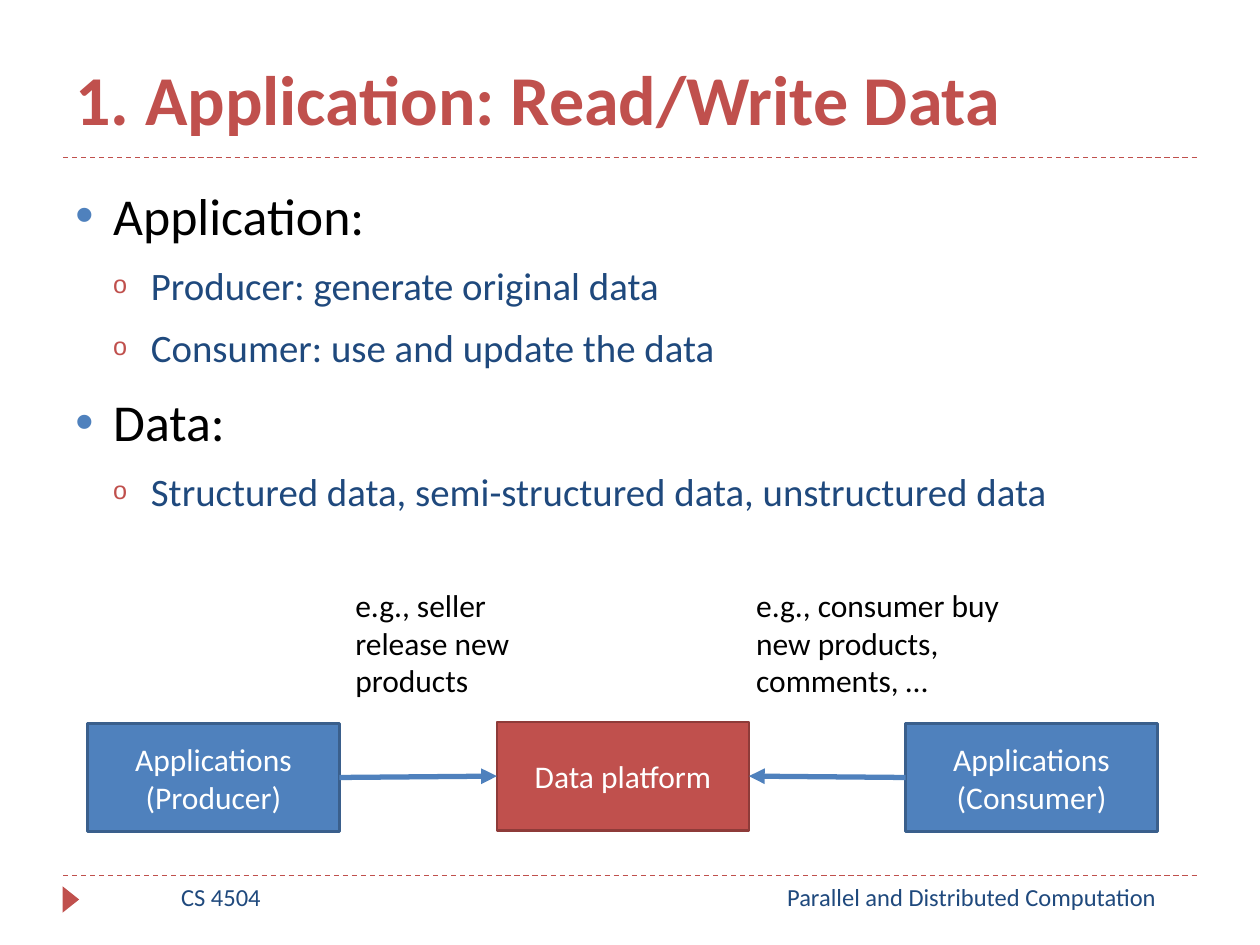
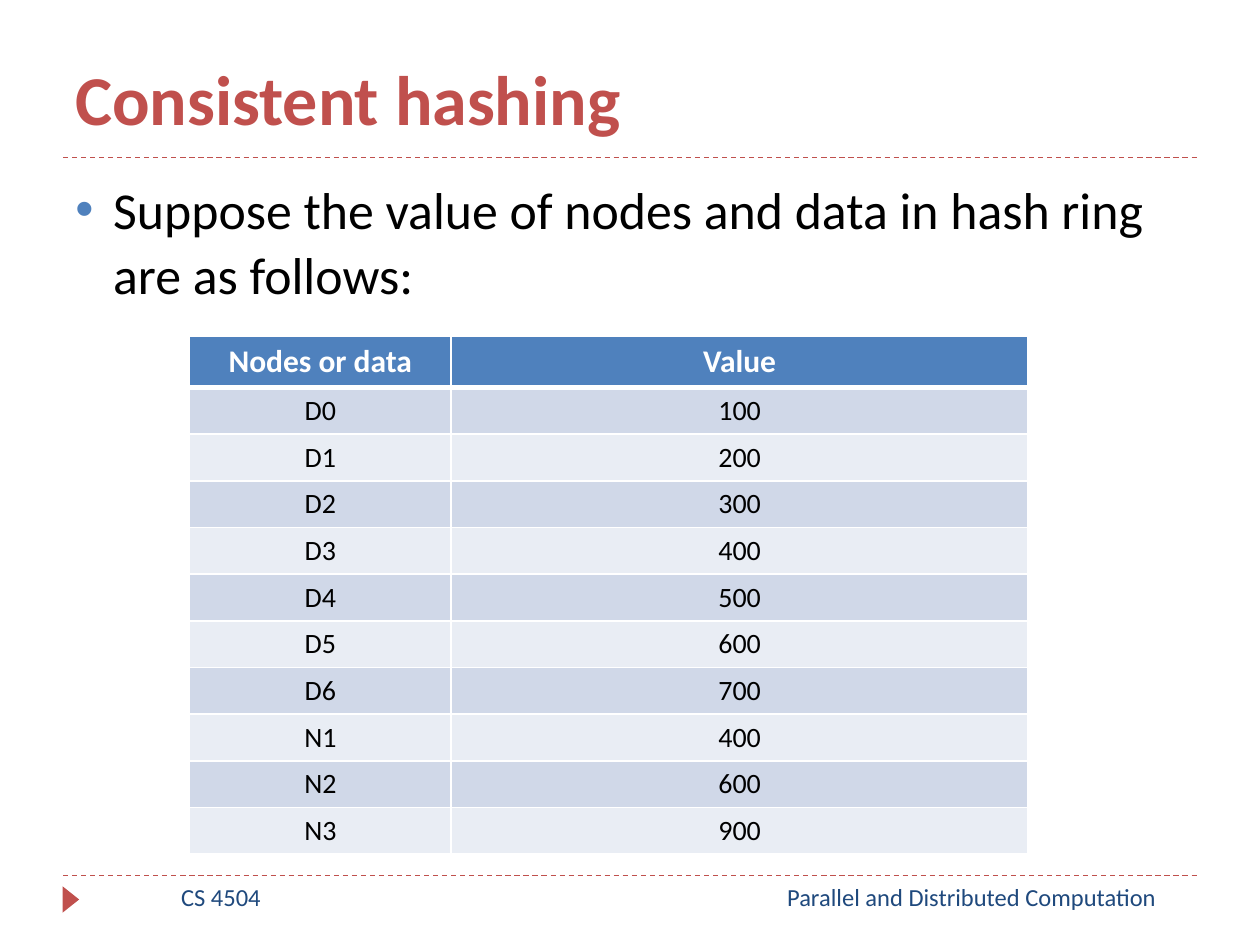
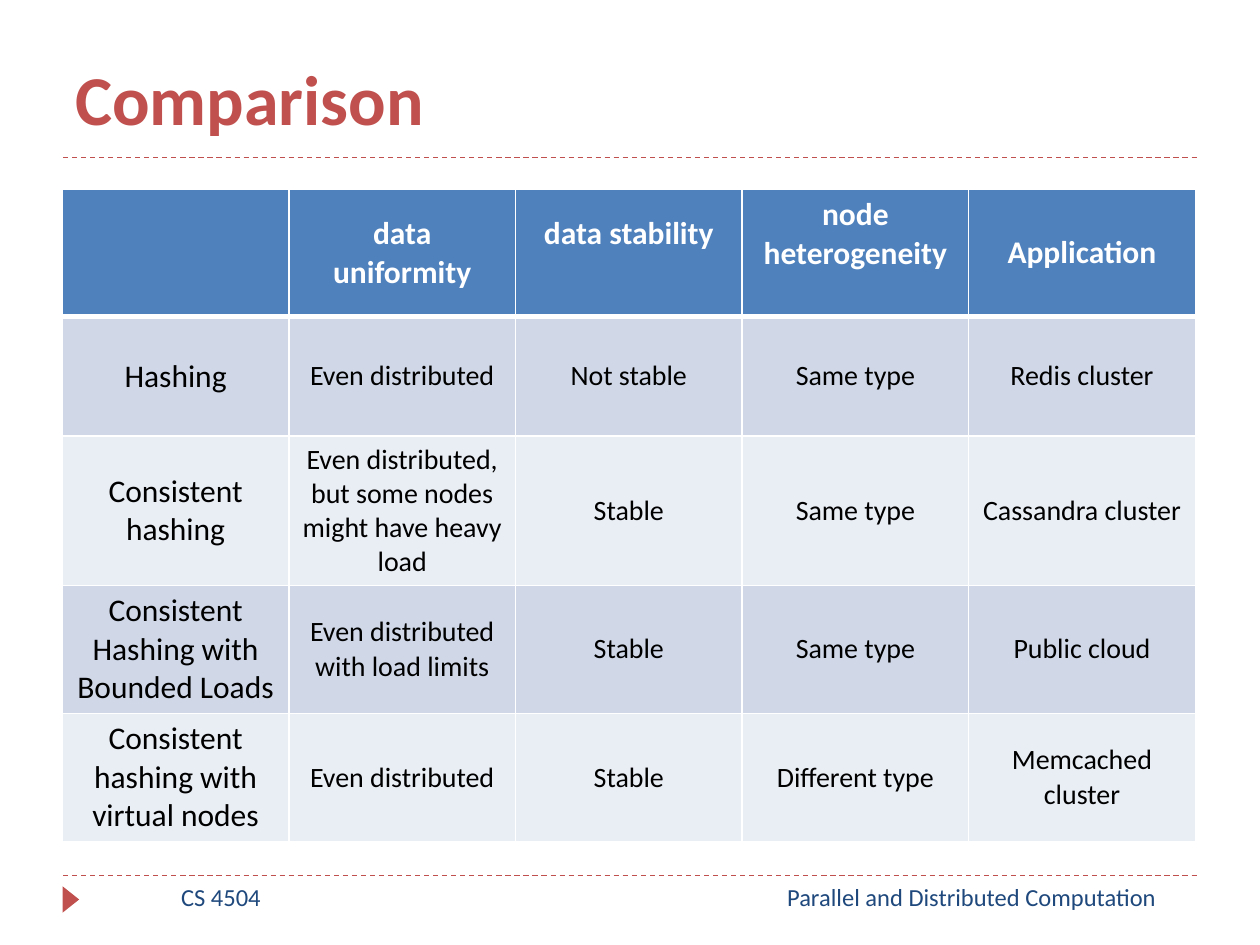
from dataclasses import dataclass

from lxml.etree import SubElement as sub_element
from pptx import Presentation
from pptx.dml.color import RGBColor as Rgb
from pptx.enum.dml import MSO_LINE_DASH_STYLE as Dash
from pptx.enum.shapes import MSO_CONNECTOR as Connector, MSO_SHAPE as Shape
from pptx.enum.text import MSO_ANCHOR as Anchor, PP_ALIGN as Align
from pptx.oxml.ns import qn
from pptx.util import Pt


@dataclass(frozen=True)
class Theme:
    font: str = "Calibri"
    bullet_font: str = "Arial"
    red: str = "C0504D"
    red_edge: str = "8E3B39"
    blue: str = "4F81BD"
    blue_edge: str = "3A5F8C"
    navy: str = "1F497D"
    black: str = "000000"
    white: str = "FFFFFF"
    bands: tuple = ("D0D8E8", "E9EDF4")
    title_size: float = 40
    body_size: float = 29.6
    sub_size: float = 22.2
    label_size: float = 18
    cell_size: float = 16
    footer_size: float = 14


THEME = Theme()
SIDES = ("L", "R", "T", "B")
TOP, LEFT, BOTTOM, RIGHT = range(4)


def style_font(para, size, color, bold=False):
    font = para.font
    font.name = THEME.font
    font.size = Pt(size)
    font.bold = bold
    font.color.rgb = Rgb.from_string(color)


def add_text(page, text, left, top, width, height, size, color,
             align=Align.LEFT, anchor=Anchor.TOP, bold=False):
    box = page.shapes.add_textbox(Pt(left), Pt(top), Pt(width), Pt(height))
    frame = box.text_frame
    frame.word_wrap = True
    frame.vertical_anchor = anchor
    para = frame.paragraphs[0]
    para.text = text
    para.alignment = align
    style_font(para, size, color, bold)


def add_line(page, start, end, color, width):
    line = page.shapes.add_connector(Connector.STRAIGHT, *map(Pt, start + end))
    line.line.color.rgb = Rgb.from_string(color)
    line.line.width = Pt(width)
    sub_element(line._element.spPr, qn("a:effectLst"))
    return line


def add_filled(page, kind, left, top, width, height, fill):
    shape = page.shapes.add_shape(kind, Pt(left), Pt(top), Pt(width), Pt(height))
    shape.shadow.inherit = False
    shape.fill.solid()
    shape.fill.fore_color.rgb = Rgb.from_string(fill)
    return shape


def add_box(page, text, left, top, fill, edge):
    box = add_filled(page, Shape.RECTANGLE, left, top, 144, 62, fill)
    box.line.color.rgb = Rgb.from_string(edge)
    box.line.width = Pt(1.5)
    box.text_frame.word_wrap = True
    box.text_frame.vertical_anchor = Anchor.MIDDLE
    para = box.text_frame.paragraphs[0]
    para.text = text
    para.alignment = Align.CENTER
    style_font(para, THEME.label_size, THEME.white)
    return box


def add_arrow(page, source, source_side, target, target_side):
    arrow = add_line(page, (0, 0), (0, 0), THEME.blue, 3)
    arrow.begin_connect(source, source_side)
    arrow.end_connect(target, target_side)
    sub_element(arrow.line._get_or_add_ln(), qn("a:tailEnd"), type="triangle")


def add_bullet(para, level):
    properties = para._p.get_or_add_pPr()
    properties.set("marL", str(Pt(21.6 * (level + 1))))
    properties.set("indent", str(-Pt(21.6)))
    color = sub_element(properties, qn("a:buClr"))
    sub_element(color, qn("a:srgbClr"), val=(THEME.blue, THEME.red)[level])
    if level:
        sub_element(properties, qn("a:buSzPct"), val="65000")
    sub_element(properties, qn("a:buFont"), typeface=THEME.bullet_font)
    sub_element(properties, qn("a:buChar"), char="•o"[level])


def add_bullets(page, items, height, line_spacing):
    box = page.shapes.add_textbox(Pt(36), Pt(96), Pt(648), Pt(height))
    frame = box.text_frame
    frame.word_wrap = True
    for index, (level, text) in enumerate(items):
        para = frame.add_paragraph() if index else frame.paragraphs[0]
        para.text = text
        para.level = level
        add_bullet(para, level)
        para.line_spacing = line_spacing
        para.space_before = Pt((6, 5)[level] if index else 0)
        if level:
            style_font(para, THEME.sub_size, THEME.navy)
        else:
            style_font(para, THEME.body_size, THEME.black)


def set_borders(cell, row):
    properties = cell._tc.get_or_add_tcPr()
    heavy = {0: "B", 1: "T"}.get(row)
    for place, side in enumerate(SIDES):
        width = 3 if side == heavy else 1
        line = properties.makeelement(qn(f"a:ln{side}"), {"w": str(Pt(width))})
        fill = sub_element(line, qn("a:solidFill"))
        sub_element(fill, qn("a:srgbClr"), val=THEME.white)
        properties.insert(place, line)


def add_grid(page, rows, left, top, widths, heights, anchor=Anchor.TOP,
             first_column_size=THEME.cell_size):
    frame = page.shapes.add_table(len(rows), len(widths), Pt(left), Pt(top),
                                  Pt(sum(widths)), Pt(sum(heights)))
    grid = frame.table
    for column, width in zip(grid.columns, widths):
        column.width = Pt(width)
    for row_index, (values, height) in enumerate(zip(rows, heights)):
        grid.rows[row_index].height = Pt(height)
        header = row_index == 0
        fill = THEME.blue if header else THEME.bands[(row_index - 1) % 2]
        for column_index, value in enumerate(values):
            cell = grid.cell(row_index, column_index)
            cell.fill.solid()
            cell.fill.fore_color.rgb = Rgb.from_string(fill)
            cell.vertical_anchor = anchor
            set_borders(cell, row_index)
            para = cell.text_frame.paragraphs[0]
            para.text = value
            para.alignment = Align.CENTER
            if header:
                style_font(para, THEME.label_size, THEME.white, bold=True)
            else:
                size = THEME.cell_size if column_index else first_column_size
                style_font(para, size, THEME.black)
    return grid


def add_page(deck, title):
    page = deck.slides.add_slide(deck.slide_layouts[6])
    for y in (500.4, 90):
        rule = add_line(page, (36, y), (684, y), THEME.red, 0.75)
        rule.line.dash_style = Dash.DASH
    marker = add_filled(page, Shape.ISOSCELES_TRIANGLE, 33, 509.3, 15, 9.4, THEME.red)
    marker.rotation = 90
    marker.line.fill.background()
    add_text(page, title, 36, 6, 648, 77.5, THEME.title_size, THEME.red,
             anchor=Anchor.BOTTOM, bold=True)
    for text, left, width in (("Parallel and Distributed Computation", 426, 258.5),
                              ("CS 4504", 48, 156.5)):
        add_text(page, text, left, 500.4, width, 28.8, THEME.footer_size,
                 THEME.navy, align=Align.CENTER)
    return page


def build_application(deck):
    page = add_page(deck, "1. Application: Read/Write Data")
    add_bullets(page, [
        (0, "Application:"),
        (1, "Producer: generate original data"),
        (1, "Consumer: use and update the data"),
        (0, "Data:"),
        (1, "Structured data, semi-structured data, unstructured data"),
    ], 211, 1.15)
    producer = add_box(page, "Applications (Producer)", 50, 413.3, THEME.blue, THEME.blue_edge)
    platform = add_box(page, "Data platform", 284, 412.5, THEME.red, THEME.red_edge)
    consumer = add_box(page, "Applications (Consumer)", 517.5, 413.3, THEME.blue, THEME.blue_edge)
    add_arrow(page, producer, RIGHT, platform, LEFT)
    add_arrow(page, consumer, LEFT, platform, RIGHT)
    for text, left, width in (
            ("e.g., seller release new products", 196, 108),
            ("e.g., consumer buy new products, comments, …", 425, 159)):
        add_text(page, text, left, 331.2, width, 72.7, THEME.label_size, THEME.black)


def build_hashing(deck):
    page = add_page(deck, "Consistent hashing")
    add_bullets(page, [
        (0, "Suppose the value of nodes and data in hash ring are as follows:"),
    ], 84, 1.05)
    values = {"D0": 100, "D1": 200, "D2": 300, "D3": 400, "D4": 500, "D5": 600,
              "D6": 700, "N1": 400, "N2": 600, "N3": 900}
    rows = [("Nodes or data", "Value")]
    rows += [(name, str(value)) for name, value in values.items()]
    add_grid(page, rows, 108.3, 192.4, [149.5, 329.7], [29] + [26.7] * len(values))


def build_comparison(deck):
    page = add_page(deck, "Comparison")
    rows = [
        ("", "data uniformity", "data stability", "node heterogeneity", "Application"),
        ("Hashing", "Even distributed", "Not stable", "Same type", "Redis cluster"),
        ("Consistent hashing", "Even distributed, but some nodes might have heavy load",
         "Stable", "Same type", "Cassandra cluster"),
        ("Consistent Hashing with Bounded Loads", "Even distributed with load limits",
         "Stable", "Same type", "Public cloud"),
        ("Consistent hashing with virtual nodes", "Even distributed",
         "Stable", "Different type", "Memcached cluster"),
    ]
    grid = add_grid(page, rows, 35.6, 108.3, [129.5] * 5, [72.5, 68.4, 85.3, 73.2, 73.2],
                    anchor=Anchor.MIDDLE, first_column_size=THEME.label_size)
    for column in (2, 3):
        grid.cell(0, column).margin_bottom = Pt(25.2)


def main():
    deck = Presentation()
    deck.slide_width, deck.slide_height = Pt(720), Pt(540)
    build_application(deck)
    build_hashing(deck)
    build_comparison(deck)
    deck.save("out.pptx")


if __name__ == "__main__":
    main()
